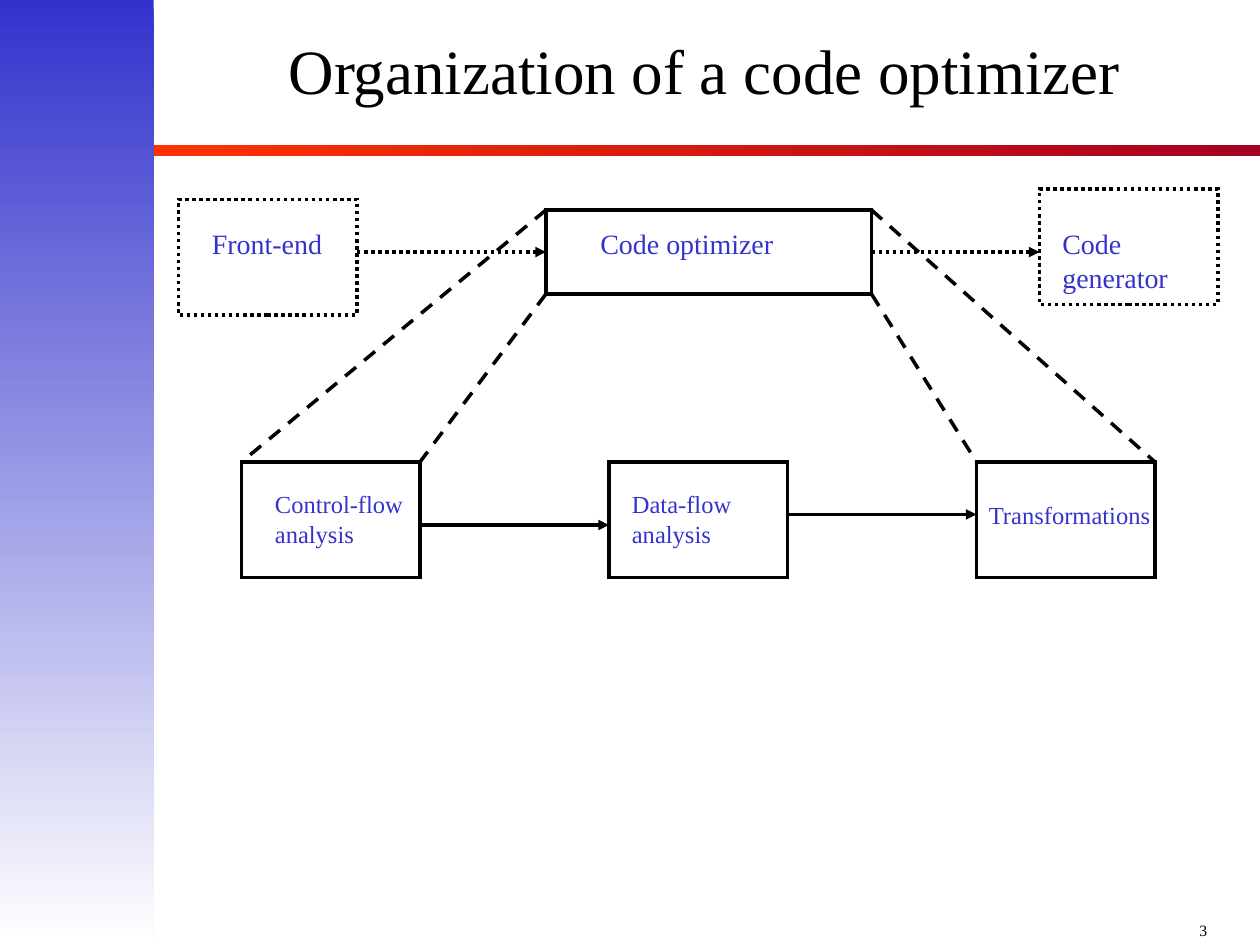
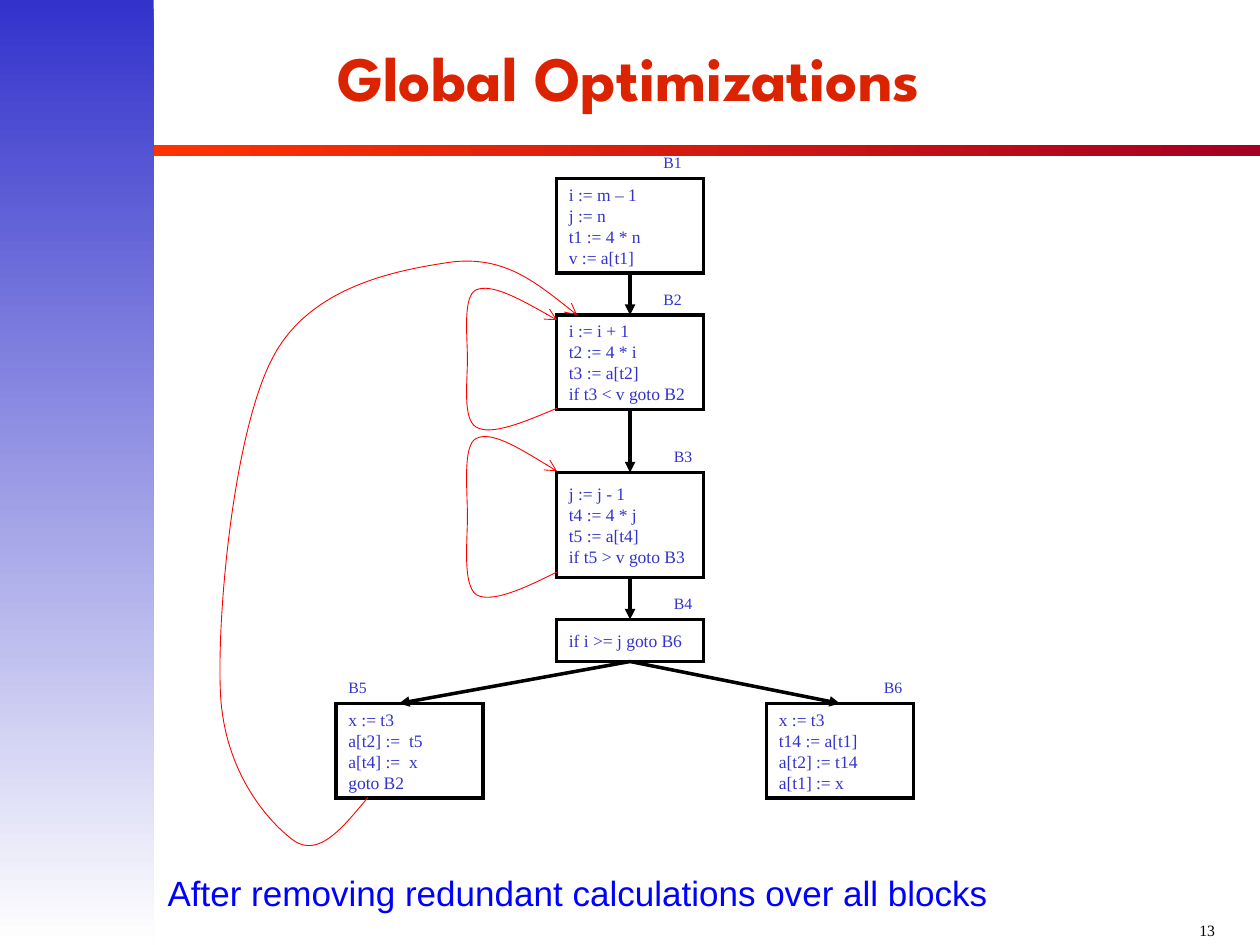
from dataclasses import dataclass

from lxml import etree
from pptx import Presentation
from pptx.dml.color import RGBColor
from pptx.enum.dml import MSO_LINE
from pptx.enum.shapes import MSO_CONNECTOR, MSO_SHAPE
from pptx.enum.text import MSO_ANCHOR, PP_ALIGN
from pptx.oxml.ns import qn
from pptx.util import Inches, Pt

RECT, STRAIGHT = MSO_SHAPE.RECTANGLE, MSO_CONNECTOR.STRAIGHT
LEFT, CENTER = PP_ALIGN.LEFT, PP_ALIGN.CENTER
TOP, MIDDLE = MSO_ANCHOR.TOP, MSO_ANCHOR.MIDDLE
DASH, DOT = MSO_LINE.DASH, MSO_LINE.ROUND_DOT
NORTH, WEST, SOUTH, EAST = range(4)


@dataclass(frozen=True)
class Theme:
    ink: str = "000000"
    blue: str = "3333CC"
    white: str = "FFFFFF"
    flame: str = "FF3300"
    wine: str = "A50021"
    head: str = "DC2300"
    note: str = "0000FF"
    loop: str = "FF0000"
    serif: str = "Times New Roman"
    sans: str = "Arial"
    show: str = "League Spartan"
    title: int = 36
    large: int = 20
    stage: int = 16
    step: int = 14
    code: int = 10
    small: int = 9
    thick: float = 2
    thin: float = 0.5


T = Theme()

# Both diagrams sit on a grid of twelve cells to the inch
CELLS = 12

# Slide 1, in cells: stages of the compiler, and steps of the optimizer
# name: (box, dash, label, label place, type size, space before)
STAGES = {
    "opt": ((52, 20, 31, 8), None, "Code optimizer",
            (56, 21, 27, 4.4), T.stage, 10),
    "control": ((23, 44, 17, 11), None, "Control-flow analysis",
                (25, 46, 15, 6.8), T.step, 8.8),
    "trans": ((93, 44, 17, 11), None, "Transformations",
              (93, 47, 18, 4.1), T.step, 8.8),
    "data": ((58, 44, 17, 11), None, "Data-flow analysis",
             (59, 46, 15, 6.8), T.step, 8.8),
    "front": ((17, 19, 17, 11), DOT, "Front-end",
              (19, 21, 14, 4.4), T.stage, 10),
    "gen": ((99, 18, 17, 11), DOT, "Code generator",
            (100, 21, 14, 7.7), T.stage, 10),
}
# Ends are points, or a box name with one of its sides
FLOWS = [
    ((40, 50), (58, 50), None),
    ((75, 49), (93, 49), None),
    ((34, 24), ("opt", WEST), DOT),
    (("opt", EAST), (99, 24), DOT),
]
# Zoom lines run between corners: (box, right, down)
ZOOMS = [
    (("opt", 0, 0), ("control", 0, 0)),
    (("opt", 0, 1), ("control", 1, 0)),
    (("opt", 1, 0), ("trans", 1, 0)),
    (("opt", 1, 1), ("trans", 0, 0)),
]

# Slide 2, in cells: flow graph; name: (left, top, height, label left, code)
BLOCKS = {
    "B1": (53, 17, 9, 62,
           ["i := m – 1", "j := n", "t1 := 4 * n", "v := a[t1]"]),
    "B2": (53, 30, 9, 62,
           ["i := i + 1", "t2 := 4 * i", "t3 := a[t2]", "if t3 < v goto B2"]),
    "B3": (53, 45, 10, 63,
           ["j := j - 1", "t4 := 4 * j", "t5 := a[t4]", "if t5 > v goto B3"]),
    "B4": (53, 59, 4, 63, ["if i >= j goto B6"]),
    "B5": (32, 67, 9, 32,
           ["x := t3", "a[t2] :=  t5", "a[t4] :=  x", "goto B2"]),
    "B6": (73, 67, 9, 83,
           ["x := t3", "t14 := a[t1]", "a[t2] := t14", "a[t1] := x"]),
}
WIDE, TAG = 14, (5, 3)
JUMPS = [
    (("B1", SOUTH), ("B2", NORTH)),
    (("B2", SOUTH), ("B3", NORTH)),
    (("B3", SOUTH), ("B4", NORTH)),
    (("B4", SOUTH), (38, 67)),
    (("B4", SOUTH), ("B6", NORTH)),
]
# Each loop, in inches: a start, then two control points and an end per curve
LOOPS = [
    [(2.92, 6.33), (2.72, 6.57), (2.53, 6.81), (2.33, 6.67),
     (2.14, 6.53), (1.78, 6.14), (1.75, 5.5),
     (1.72, 4.86), (1.86, 3.4), (2.17, 2.83),
     (2.47, 2.26), (3.18, 2.14), (3.58, 2.08),
     (3.99, 2.03), (4.28, 2.26), (4.58, 2.5)],
    [(4.42, 4.54), (4.16, 4.67), (3.9, 4.79), (3.78, 4.72),
     (3.67, 4.64), (3.71, 4.3), (3.71, 4.1),
     (3.71, 3.89), (3.67, 3.53), (3.78, 3.48),
     (3.9, 3.42), (4.16, 3.58), (4.42, 3.74)],
    [(4.42, 3.24), (4.16, 3.35), (3.9, 3.46), (3.78, 3.39),
     (3.67, 3.33), (3.71, 3.03), (3.71, 2.85),
     (3.71, 2.67), (3.67, 2.35), (3.78, 2.3),
     (3.9, 2.25), (4.16, 2.39), (4.42, 2.54)],
]


def rgb(code):
    return RGBColor.from_string(code)


def spot(at):
    return [Inches(n) for n in at]


def grid(at):
    return [n / CELLS for n in at]


def write(shape, lines, size=T.code, color=T.blue, font=T.serif, bold=False,
          align=LEFT, anchor=TOP, inset=(0.1, 0.05), before=0, space=1.0,
          wrap=True):
    frame = shape.text_frame
    frame.word_wrap = wrap
    frame.vertical_anchor = anchor
    frame.margin_left = frame.margin_right = Inches(inset[0])
    frame.margin_top = frame.margin_bottom = Inches(inset[1])
    for i, line in enumerate(lines):
        para = frame.add_paragraph() if i else frame.paragraphs[0]
        para.alignment = align
        para.space_before = Pt(before)
        para.line_spacing = space
        run = para.add_run()
        run.text = line
        run.font.name, run.font.size, run.font.bold = font, Pt(size), bold
        run.font.color.rgb = rgb(color)


def label(slide, at, line, **style):
    write(slide.shapes.add_textbox(*spot(at)), [line], **style)


def stroke(shape, color=T.ink, width=T.thick, dash=None, tip=None):
    shape.line.color.rgb = rgb(color)
    shape.line.width = Pt(width)
    if dash:
        shape.line.dash_style = dash
    line = shape.element.spPr.find(qn("a:ln"))
    etree.SubElement(line, qn("a:miter"), lim="800000")
    if tip:
        etree.SubElement(line, qn("a:tailEnd"), type=tip)


def frame_box(slide, at, dash=None):
    box = slide.shapes.add_shape(RECT, *spot(grid(at)))
    box.shadow.inherit = False
    box.fill.background()
    stroke(box, dash=dash)
    return box


def band(slide, at, start, end, angle):
    bar = slide.shapes.add_shape(RECT, *spot(at))
    bar.shadow.inherit = False
    bar.line.fill.background()
    bar.fill.gradient()
    bar.fill.gradient_angle = angle
    for stop, color in zip(bar.fill.gradient_stops, (start, end)):
        stop.color.rgb = rgb(color)


def link(slide, boxes, start, end, dash=None, tip="triangle"):
    ends = [(0, 0) if isinstance(e[0], str) else e for e in (start, end)]
    wire = slide.shapes.add_connector(STRAIGHT, *spot(grid(ends[0] + ends[1])))
    for e, join in ((start, wire.begin_connect), (end, wire.end_connect)):
        if isinstance(e[0], str):
            join(boxes[e[0]], e[1])
    stroke(wire, dash=dash, tip=tip)
    etree.SubElement(wire.element.spPr, qn("a:effectLst"))


def curve(slide, knots):
    points = [spot(p) for p in knots]
    pen = slide.shapes.build_freeform(*points[0])
    pen.add_line_segments(points[1:], close=False)
    loop = pen.convert_to_shape()
    # Turn every three straight steps into one cubic curve
    steps = list(loop.element.iter(qn("a:lnTo")))
    for i in range(0, len(steps), 3):
        cubic = etree.Element(qn("a:cubicBezTo"))
        steps[i].addprevious(cubic)
        for step in steps[i:i + 3]:
            cubic.append(step[0])
            step.getparent().remove(step)
    loop.shadow.inherit = False
    loop.fill.background()
    stroke(loop, T.loop, T.thin, tip="arrow")


def start_slide(deck, number, title, at, **style):
    slide = deck.slides.add_slide(deck.slide_layouts[6])
    band(slide, (1.2, 1.15, 8.8, 0.09), T.flame, T.wine, 0)
    band(slide, (0, 0, 1.22, 7.5), T.blue, T.white, 270)
    label(slide, (9.42, 7.26, 0.42, 0.24), number, size=T.small, color=T.ink)
    label(slide, at, title, size=T.title, align=CENTER, anchor=MIDDLE,
          space=0.8, **style)
    return slide


def corner(name, right, down):
    x, y, w, h = STAGES[name][0]
    return x + right * w, y + down * h


def draw_stages(deck):
    slide = start_slide(deck, "3", "Organization of a code optimizer",
                        (1.18, 0, 8.82, 1.22), color=T.ink)
    boxes = {}
    for name, (at, dash, words, place, size, gap) in STAGES.items():
        boxes[name] = frame_box(slide, at, dash)
        label(slide, grid(place), words, size=size, before=gap)
    for start, end in ZOOMS:
        link(slide, boxes, corner(*start), corner(*end), DASH, None)
    for start, end, dash in FLOWS:
        link(slide, boxes, start, end, dash)


def draw_graph(deck):
    slide = start_slide(deck, "13", "Global Optimizations",
                        (0.72, 0.26, 8.54, 0.81), color=T.head, font=T.show,
                        bold=True, inset=(0, 0))
    label(slide, (1.33, 6.92, 8.45, 0.33),
          "After removing redundant calculations over all blocks",
          size=T.large, color=T.note, font=T.sans, anchor=MIDDLE,
          inset=(0, 0))
    boxes = {}
    for name, (x, y, high, tag, code) in BLOCKS.items():
        boxes[name] = frame_box(slide, (x, y, WIDE, high))
        write(boxes[name], code, anchor=MIDDLE, wrap=False)
        label(slide, grid((tag, y - TAG[1], *TAG)), name, size=T.small,
              before=5.6)
    for start, end in JUMPS:
        link(slide, boxes, start, end)
    for knots in LOOPS:
        curve(slide, knots)


def main():
    deck = Presentation()
    deck.slide_width, deck.slide_height = Inches(10), Inches(7.5)
    draw_stages(deck)
    draw_graph(deck)
    deck.save("out.pptx")


if __name__ == "__main__":
    main()
